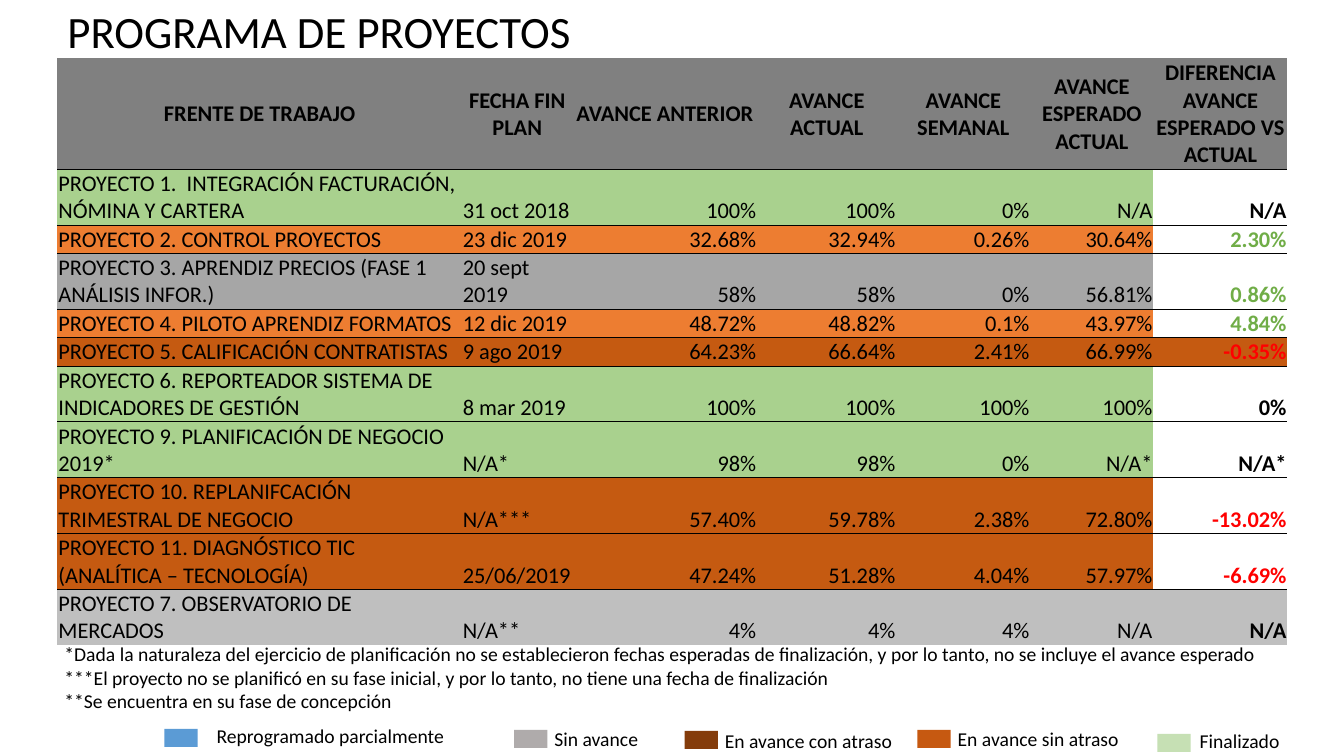
from pptx import Presentation
from pptx.dml.color import RGBColor
from pptx.enum.shapes import MSO_SHAPE
from pptx.enum.text import MSO_ANCHOR, MSO_AUTO_SIZE, PP_ALIGN
from pptx.oxml import parse_xml
from pptx.oxml.ns import nsdecls
from pptx.util import Inches, Pt

RECTANGLE = MSO_SHAPE.RECTANGLE
MIDDLE, BOTTOM = MSO_ANCHOR.MIDDLE, MSO_ANCHOR.BOTTOM
LEFT, CENTER, RIGHT = PP_ALIGN.LEFT, PP_ALIGN.CENTER, PP_ALIGN.RIGHT
GROW = MSO_AUTO_SIZE.SHAPE_TO_FIT_TEXT
NO_STYLE = "{2D5ABB26-0587-4C30-8999-92F81FD0307C}"

BLACK, WHITE, HEADER = "000000", "FFFFFF", "808080"
DONE, ON_TIME, LATE = "A9D18E", "ED7D31", "C55A11"
STALLED, CONCEPT = "A6A6A6", "BFBFBF"
AHEAD, BEHIND = "70AD47", "FF0000"


def color(value):
    return RGBColor.from_string(value)


def write(frame, lines, size, tint=BLACK, bold=False, align=LEFT):
    frame.word_wrap = True
    for index, line in enumerate(lines):
        para = frame.add_paragraph() if index else frame.paragraphs[0]
        para.alignment = align
        span = para.add_run()
        span.text = line
        span.font.name = "Calibri"
        span.font.size = Pt(size)
        span.font.bold = bold
        span.font.color.rgb = color(tint)


deck = Presentation()
deck.slide_width, deck.slide_height = Inches(13.33), Inches(7.5)
page = deck.slides.add_slide(deck.slide_layouts[6])

headings = ["FRENTE DE TRABAJO", "FECHA FIN PLAN", "AVANCE ANTERIOR", "AVANCE ACTUAL",
            "AVANCE SEMANAL", "AVANCE ESPERADO ACTUAL", "DIFERENCIA AVANCE ESPERADO VS ACTUAL"]
projects = [
    (DONE, WHITE, BLACK, 2, ["PROYECTO 1.  INTEGRACIÓN FACTURACIÓN, NÓMINA Y CARTERA",
     "31 oct 2018", "100%", "100%", "0%", "N/A", "N/A"]),
    (ON_TIME, WHITE, AHEAD, 1, ["PROYECTO 2. CONTROL PROYECTOS",
     "23 dic 2019", "32.68%", "32.94%", "0.26%", "30.64%", "2.30%"]),
    (STALLED, WHITE, AHEAD, 2, ["PROYECTO 3. APRENDIZ PRECIOS (FASE 1 ANÁLISIS INFOR.)",
     "20 sept 2019", "58%", "58%", "0%", "56.81%", "0.86%"]),
    (ON_TIME, WHITE, AHEAD, 1, ["PROYECTO 4. PILOTO APRENDIZ FORMATOS",
     "12 dic 2019", "48.72%", "48.82%", "0.1%", "43.97%", "4.84%"]),
    (LATE, LATE, BEHIND, 1, ["PROYECTO 5. CALIFICACIÓN CONTRATISTAS",
     "9 ago 2019", "64.23%", "66.64%", "2.41%", "66.99%", "-0.35%"]),
    (DONE, WHITE, BLACK, 2, ["PROYECTO 6. REPORTEADOR SISTEMA DE INDICADORES DE GESTIÓN",
     "8 mar 2019", "100%", "100%", "100%", "100%", "0%"]),
    (DONE, WHITE, BLACK, 2, ["PROYECTO 9. PLANIFICACIÓN DE NEGOCIO 2019*",
     "N/A*", "98%", "98%", "0%", "N/A*", "N/A*"]),
    (LATE, WHITE, BEHIND, 2, ["PROYECTO 10. REPLANIFCACIÓN TRIMESTRAL DE NEGOCIO",
     "N/A***", "57.40%", "59.78%", "2.38%", "72.80%", "-13.02%"]),
    (LATE, WHITE, BEHIND, 2, ["PROYECTO 11. DIAGNÓSTICO TIC (ANALÍTICA – TECNOLOGÍA)",
     "25/06/2019", "47.24%", "51.28%", "4.04%", "57.97%", "-6.69%"]),
    (CONCEPT, CONCEPT, BLACK, 2, ["PROYECTO 7. OBSERVATORIO DE MERCADOS",
     "N/A**", "4%", "4%", "4%", "N/A", "N/A"]),
]
rows = [(HEADER, HEADER, BLACK, 4, headings)] + projects
column_widths = [4.01, 1.1, 1.83, 1.38, 1.33, 1.22, 1.33]
line_height = 0.27

frame = page.shapes.add_table(len(rows), len(headings), Inches(0.57), Inches(0.58),
                              Inches(sum(column_widths)), Inches(5.71))
grid = frame.table
grid.first_row = grid.horz_banding = False
frame._element.graphic.graphicData.tbl.tblPr[0].text = NO_STYLE
for column, width in zip(grid.columns, column_widths):
    column.width = Inches(width)

for r, (fill, last_fill, last_tint, line_count, texts) in enumerate(rows):
    grid.rows[r].height = Inches(line_height * line_count)
    edges = [edge for edge, shown in (("lnT", r > 0), ("lnB", r < len(rows) - 1)) if shown]
    for c, text in enumerate(texts):
        cell = grid.cell(r, c)
        is_header, is_last = r == 0, c == len(headings) - 1
        cell.margin_left = cell.margin_right = cell.margin_top = Inches(0.01)
        cell.margin_bottom = 0
        cell.vertical_anchor = MIDDLE if is_header else BOTTOM
        for edge in edges:
            cell._tc.get_or_add_tcPr().append(parse_xml(
                f'<a:{edge} {nsdecls("a")} w="6350"><a:solidFill>'
                f'<a:srgbClr val="{BLACK}"/></a:solidFill></a:{edge}>'))
        cell.fill.solid()
        cell.fill.fore_color.rgb = color(last_fill if is_last else fill)
        align = CENTER if is_header else LEFT if c < 2 else RIGHT
        write(cell.text_frame, [text], 16, last_tint if is_last else BLACK,
              is_header or is_last, align)

notes = [
    "*Dada la naturaleza del ejercicio de planificación no se establecieron fechas esperadas "
    "de finalización, y por lo tanto, no se incluye el avance esperado",
    "***El proyecto no se planificó en su fase inicial, y por lo tanto, no tiene una fecha de finalización",
    "**Se encuentra en su fase de concepción",
]
legend = [
    ("Reprogramado parcialmente", "5B9BD5", 1.63, 7.23, 2.05, 7.13, 2.97),
    ("Sin avance", "AFABAB", 5.1, 7.24, 5.4, 7.16, 1.3),
    ("En avance con atraso", "843C0B", 6.79, 7.25, 7.09, 7.18, 1.93),
    ("En avance sin atraso", "C65911", 9.1, 7.24, 9.4, 7.16, 1.93),
    ("Finalizado", "C6E0B4", 11.48, 7.28, 11.8, 7.18, 1.02),
]
texts = [(["PROGRAMA DE PROYECTOS"], 32, 0.57, -0.01, 7.78, 0.64),
         (notes, 14, 0.54, 6.32, 12.2, 0.81)]
for label, fill, swatch_left, swatch_top, left, top, width in legend:
    swatch = page.shapes.add_shape(RECTANGLE, Inches(swatch_left), Inches(swatch_top),
                                   Inches(0.33), Inches(0.18))
    swatch.shadow.inherit = False
    swatch.fill.solid()
    swatch.fill.fore_color.rgb = color(fill)
    swatch.line.fill.background()
    texts.append(([label], 14, left, top, width, 0.34))

for lines, size, left, top, width, height in texts:
    box = page.shapes.add_textbox(Inches(left), Inches(top), Inches(width), Inches(height))
    write(box.text_frame, lines, size)
    box.text_frame.auto_size = GROW

deck.save("out.pptx")
